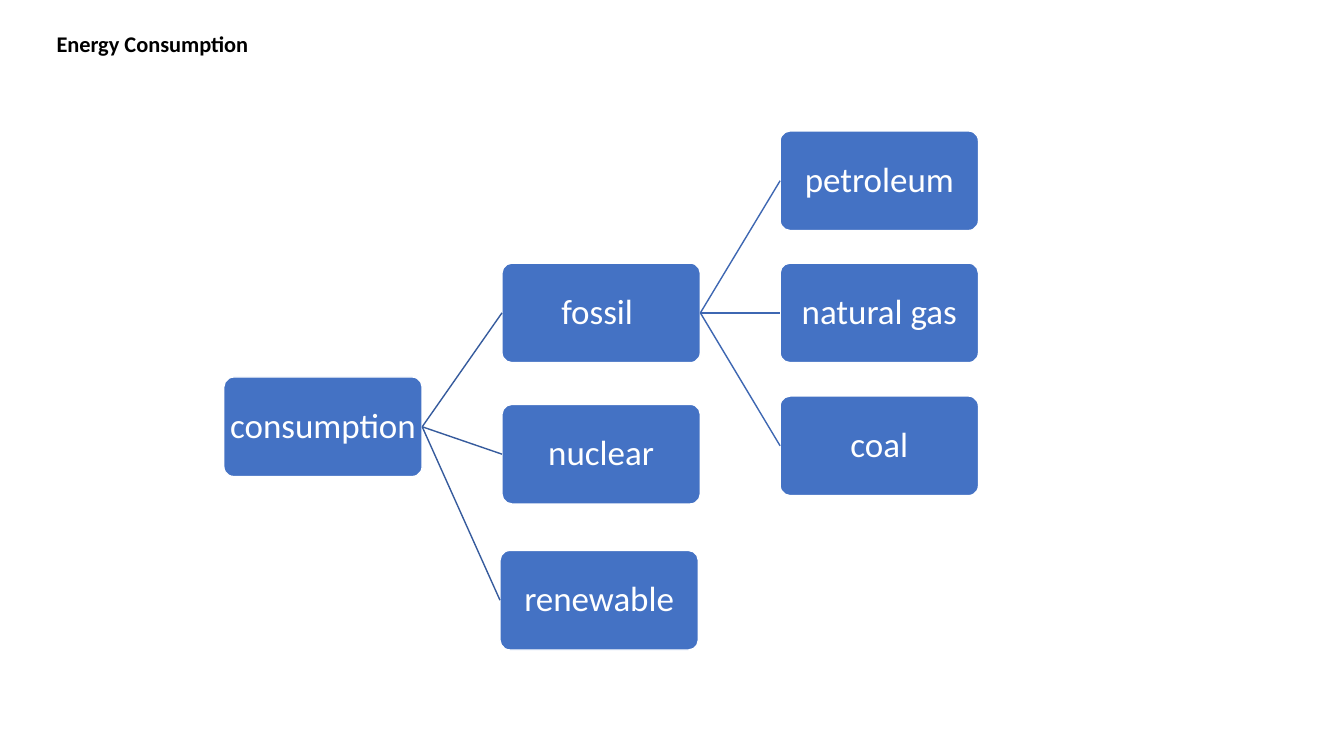
"""Build the energy consumption tree slide."""
from lxml.etree import SubElement
from pptx import Presentation
from pptx.dml.color import RGBColor
from pptx.enum.shapes import MSO_CONNECTOR, MSO_SHAPE
from pptx.enum.text import MSO_ANCHOR, MSO_AUTO_SIZE, PP_ALIGN
from pptx.oxml.ns import qn
from pptx.util import Cm, Pt

BOX_WIDTH, BOX_HEIGHT = 5, 2.51
LEFT_SITE, RIGHT_SITE = 1, 3
NODES = {
    "consumption": (5.64, 9.5),
    "fossil ": (12.65, 6.63),
    "petroleum": (19.66, 3.3),
    "natural gas": (19.66, 6.63),
    "coal": (19.66, 9.98),
    "nuclear": (12.65, 10.19),
    "renewable": (12.6, 13.87),
}
BRANCHES = {
    "consumption": ("365B9D", ["fossil ", "nuclear", "renewable"]),
    "fossil ": ("3E67B2", ["petroleum", "natural gas", "coal"]),
}


def color(value):
    """Turn a hex string into a colour."""
    return RGBColor.from_string(value)


def format_text(frame, size, hue, bold, alignment, anchor):
    """Format the paragraphs of a text frame."""
    frame.vertical_anchor = anchor
    for paragraph in frame.paragraphs:
        paragraph.alignment = alignment
        paragraph.line_spacing = 0.9 if alignment == PP_ALIGN.CENTER else 1
        for span in paragraph.runs:
            span.font.name = "Calibri"
            span.font.size = Pt(size)
            span.font.bold = bold
            span.font.color.rgb = color(hue)


def set_title(page, text):
    """Place and format the slide title."""
    title = page.shapes.title
    title.left, title.top = Cm(1.17), Cm(0.64)
    title.width, title.height = Cm(6.5), Cm(0.94)
    frame = title.text_frame
    frame.text = text
    frame.word_wrap = True
    frame.auto_size = MSO_AUTO_SIZE.NONE
    format_text(frame, 16, "000000", True, PP_ALIGN.LEFT, MSO_ANCHOR.TOP)


def add_node(page, text, left, top):
    """Add one rounded box of the tree."""
    box = page.shapes.add_shape(MSO_SHAPE.ROUNDED_RECTANGLE, Cm(left), Cm(top),
                                Cm(BOX_WIDTH), Cm(BOX_HEIGHT))
    box.adjustments[0] = 0.1
    box.shadow.inherit = False
    box.fill.solid()
    box.fill.fore_color.rgb = color("4472C4")
    box.line.color.rgb = color("FFFFFF")
    box.line.width = Pt(1)
    frame = box.text_frame
    frame.text = text
    frame.word_wrap = False
    frame.margin_left = frame.margin_right = Cm(0.13)
    frame.margin_top = frame.margin_bottom = Cm(0.13)
    format_text(frame, 25, "FFFFFF", False, PP_ALIGN.CENTER, MSO_ANCHOR.MIDDLE)
    return box


def add_branch(page, parent, child, hue):
    """Join the right side of a parent to the left side of a child."""
    branch = page.shapes.add_connector(MSO_CONNECTOR.STRAIGHT, 0, 0, 0, 0)
    branch.begin_connect(parent, RIGHT_SITE)
    branch.end_connect(child, LEFT_SITE)
    branch.line.color.rgb = color(hue)
    branch.line.width = Pt(1)
    SubElement(branch.element.spPr, qn("a:effectLst"))


def main():
    """Build and save the deck."""
    deck = Presentation()
    deck.slide_width, deck.slide_height = Cm(33.87), Cm(19.05)
    page = deck.slides.add_slide(deck.slide_layouts[5])
    set_title(page, "Energy Consumption")
    boxes = {text: add_node(page, text, *place) for text, place in NODES.items()}
    for parent, (hue, children) in BRANCHES.items():
        for child in children:
            add_branch(page, boxes[parent], boxes[child], hue)
    deck.save("out.pptx")


if __name__ == "__main__":
    main()
